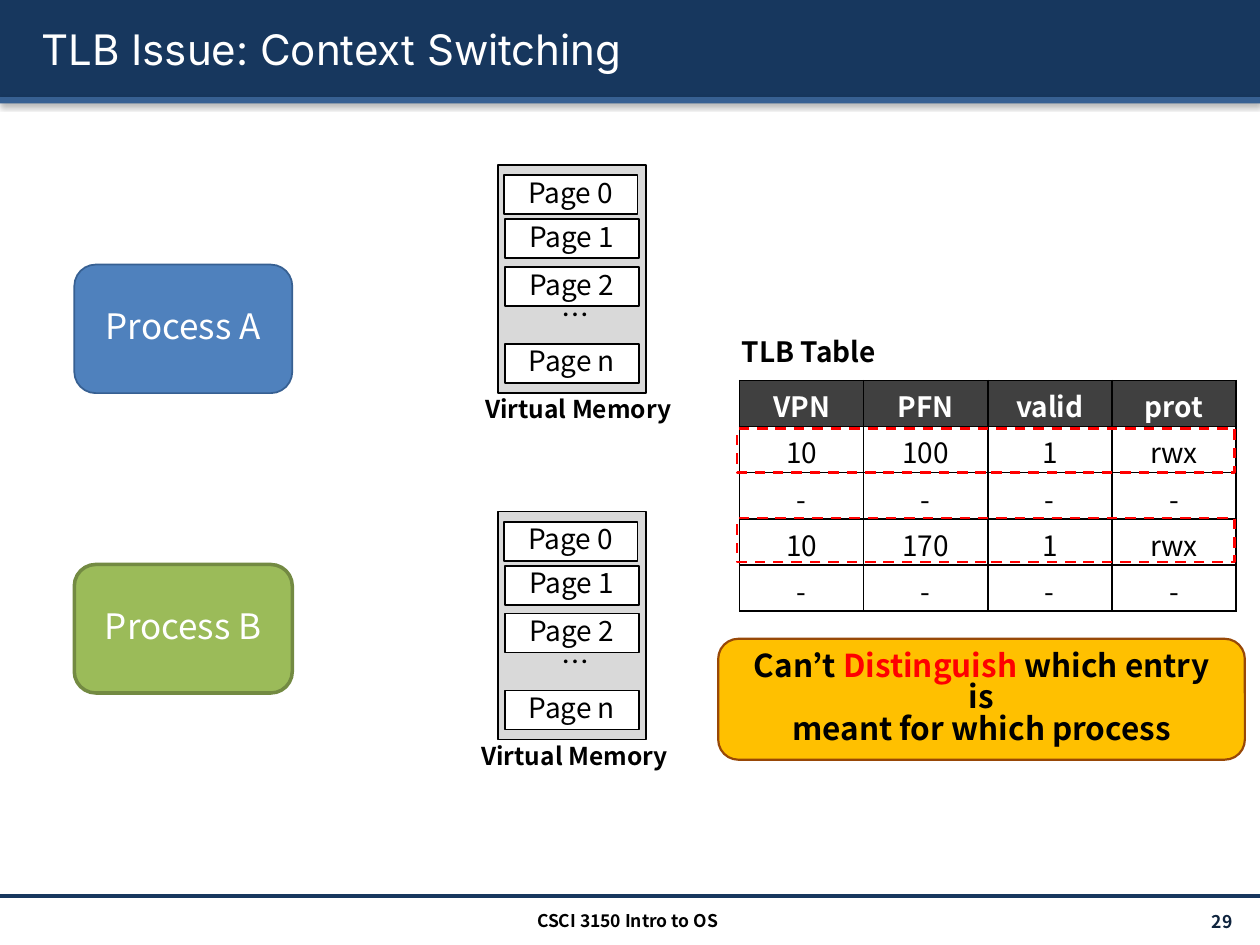
from lxml.etree import SubElement
from pptx import Presentation
from pptx.dml.color import RGBColor
from pptx.enum.dml import MSO_LINE
from pptx.enum.shapes import MSO_CONNECTOR, MSO_SHAPE
from pptx.enum.text import MSO_ANCHOR, PP_ALIGN
from pptx.oxml import parse_xml
from pptx.oxml.ns import nsdecls, qn
from pptx.util import Inches, Pt

BLACK = RGBColor(0x00, 0x00, 0x00)
WHITE = RGBColor(0xFF, 0xFF, 0xFF)
RED = RGBColor(0xFF, 0x00, 0x00)
NAVY = RGBColor(0x17, 0x37, 0x5E)
DARK_NAVY = RGBColor(0x0F, 0x24, 0x3E)
STEEL = RGBColor(0x37, 0x60, 0x92)
BLUE = RGBColor(0x4F, 0x81, 0xBD)
GREEN = RGBColor(0x9B, 0xBB, 0x59)
DARK_GREEN = RGBColor(0x73, 0x8A, 0x42)
AMBER = RGBColor(0xFF, 0xC0, 0x00)
BROWN = RGBColor(0x98, 0x48, 0x07)
LIGHT_GRAY = RGBColor(0xD9, 0xD9, 0xD9)
DARK_GRAY = RGBColor(0x40, 0x40, 0x40)

BODY_FONT = "Noto Sans CJK KR"
TITLE_FONT = "Inter"
LINE_SPACING = 0.83
LEFT, CENTER, RIGHT = PP_ALIGN.LEFT, PP_ALIGN.CENTER, PP_ALIGN.RIGHT
TOP, MIDDLE = MSO_ANCHOR.TOP, MSO_ANCHOR.MIDDLE
RECT, ROUNDED = MSO_SHAPE.RECTANGLE, MSO_SHAPE.ROUNDED_RECTANGLE

HEADER_BARS = [(0, 0.77, NAVY), (0.77, 0.05, STEEL)]
PROCESSES = [
    ("Process A", 2.1, BLUE, STEEL, 1),
    ("Process B", 4.48, GREEN, DARK_GREEN, 2),
]
MEMORIES = [(1.31, 3.63), (4.06, 3.6)]
PAGES = [
    ("Page 0", 4, 0.08),
    ("Page 1", 4.01, 0.43),
    ("Page 2", 4.01, 0.81),
    ("Page n", 4.01, 1.42),
]
TLB_ROWS = [
    ("VPN", "PFN", "valid", "prot"),
    ("10", "100", "1", "rwx"),
    ("-", "-", "-", "-"),
    ("10", "170", "1", "rwx"),
    ("-", "-", "-", "-"),
]
CONFLICT_TOPS = [3.4, 4.11]
CALLOUT = [
    [("Can’t ", BLACK), ("Distinguish ", RED), ("which entry is", BLACK)],
    [("meant for which process", BLACK)],
]


def shadow(alpha, blur, dist):
    return parse_xml(
        f'<a:effectLst {nsdecls("a")}><a:outerShdw blurRad="{Pt(blur)}" '
        f'dist="{Pt(dist)}" dir="5400000" rotWithShape="0">'
        f'<a:srgbClr val="000000"><a:alpha val="{alpha * 1000}"/></a:srgbClr>'
        f'</a:outerShdw></a:effectLst>'
    )


def write(tf, lines, size, bold=False, align=CENTER, font=BODY_FONT,
          spacing=LINE_SPACING):
    for i, runs in enumerate(lines):
        p = tf.add_paragraph() if i else tf.paragraphs[0]
        p.alignment = align
        p.line_spacing = spacing
        for text, color in runs:
            r = p.add_run()
            r.text = text
            r.font.color.rgb = color
            for name, value in {"size": Pt(size), "bold": bold, "name": font}.items():
                setattr(r.font, name, value)
            SubElement(r.font._element, qn("a:ea"), typeface=font)


def frame(sp, anchor=MIDDLE, side=0.1):
    tf = sp.text_frame
    form = {
        "word_wrap": True, "vertical_anchor": anchor,
        "margin_left": Inches(side), "margin_right": Inches(side),
        "margin_top": Inches(0.05), "margin_bottom": Inches(0.05),
    }
    for name, value in form.items():
        setattr(tf, name, value)
    return tf


def add_box(s, kind, at, fill=None, line=None, width=1):
    sp = s.shapes.add_shape(kind, *map(Inches, at))
    sp.shadow.inherit = False
    if fill is None:
        sp.fill.background()
    else:
        sp.fill.solid()
        sp.fill.fore_color.rgb = fill
    if line is None:
        sp.line.fill.background()
    else:
        sp.line.color.rgb = line
        sp.line.width = Pt(width)
    return sp


def add_label(s, at, text, size, color=BLACK, anchor=TOP, **style):
    sp = s.shapes.add_textbox(*map(Inches, at))
    write(frame(sp, anchor), [[(text, color)]], size, **style)
    return sp


def add_header_and_footer(s):
    for top, height, color in HEADER_BARS:
        sp = add_box(s, RECT, (0, top, 10, height), color)
        old = sp._element.spPr.find(qn("a:effectLst"))
        sp._element.spPr.replace(old, shadow(38, 3.1, 1.6))
    rule = s.shapes.add_connector(
        MSO_CONNECTOR.STRAIGHT, 0, Inches(7.11), Inches(10), Inches(7.11))
    rule.line.color.rgb = NAVY
    rule.line.width = Pt(2)
    SubElement(rule._element.spPr, qn("a:effectLst"))
    title = add_label(s, (0.23, 0.07, 9.61, 0.64), "TLB Issue: Context Switching",
                      24, WHITE, MIDDLE, align=LEFT, font=TITLE_FONT, spacing=1.0)
    r = title.text_frame.paragraphs[0].runs[0]
    r.font._element.insert(1, shadow(100, 1, 1))
    add_label(s, (8.71, 7.21, 1.17, 0.24), "29", 10, DARK_NAVY, MIDDLE,
              bold=True, align=RIGHT)
    add_label(s, (3.32, 7.2, 3.32, 0.24), "CSCI 3150 Intro to OS", 10, bold=True)


def add_memory(s, top, caption_left):
    add_box(s, RECT, (3.95, top, 1.18, 1.81), LIGHT_GRAY, BLACK)
    for text, left, offset in PAGES:
        sp = add_box(s, RECT, (left, top + offset, 1.06, 0.31), WHITE, BLACK)
        write(frame(sp, side=0), [[(text, BLACK)]], 16)
    add_label(s, (4.36, top + 1.05, 1.16, 0.37), "…", 16, align=LEFT)
    add_label(s, (caption_left, top + 1.81, 1.92, 0.34), "Virtual Memory", 14, bold=True)


def set_borders(cell):
    tc_pr = cell._tc.get_or_add_tcPr()
    for i, side in enumerate(("lnL", "lnR", "lnT", "lnB")):
        tc_pr.insert(i, parse_xml(
            f'<a:{side} {nsdecls("a")} w="{Pt(1)}"><a:solidFill>'
            f'<a:srgbClr val="{BLACK}"/></a:solidFill></a:{side}>'))


def add_tlb_table(s):
    rows, cols = len(TLB_ROWS), len(TLB_ROWS[0])
    add_label(s, (5.79, 2.65, 1.54, 0.37), "TLB Table", 16, bold=True, align=LEFT)
    table = s.shapes.add_table(
        rows, cols, *map(Inches, (5.87, 3.02, 3.94, 1.83))).table
    for i, values in enumerate(TLB_ROWS):
        header = i == 0
        for j, value in enumerate(values):
            cell = table.cell(i, j)
            cell.margin_top, cell.margin_bottom = Inches(0.04), 0
            if header:
                cell.fill.solid()
                cell.fill.fore_color.rgb = DARK_GRAY
            else:
                cell.fill.background()
            set_borders(cell)
            color = WHITE if header else BLACK
            write(cell.text_frame, [[(value, color)]], 16, header, spacing=1.0)
    for top in CONFLICT_TOPS:
        sp = add_box(s, RECT, (5.85, top, 3.95, 0.35), None, RED, 1.5)
        sp.line.dash_style = MSO_LINE.DASH


def main():
    prs = Presentation()
    prs.slide_width, prs.slide_height = Inches(10), Inches(7.5)
    s = prs.slides.add_slide(prs.slide_layouts[6])
    add_header_and_footer(s)
    for text, top, fill, line, width in PROCESSES:
        sp = add_box(s, ROUNDED, (0.59, top, 1.73, 1.02), fill, line, width)
        write(frame(sp), [[(text, WHITE)]], 20)
    for top, caption_left in MEMORIES:
        add_memory(s, top, caption_left)
    add_tlb_table(s)
    sp = add_box(s, ROUNDED, (5.7, 5.07, 4.18, 0.96), AMBER, BROWN, 1.25)
    write(frame(sp, side=0.12), CALLOUT, 18, bold=True)
    prs.save("out.pptx")


if __name__ == "__main__":
    main()
